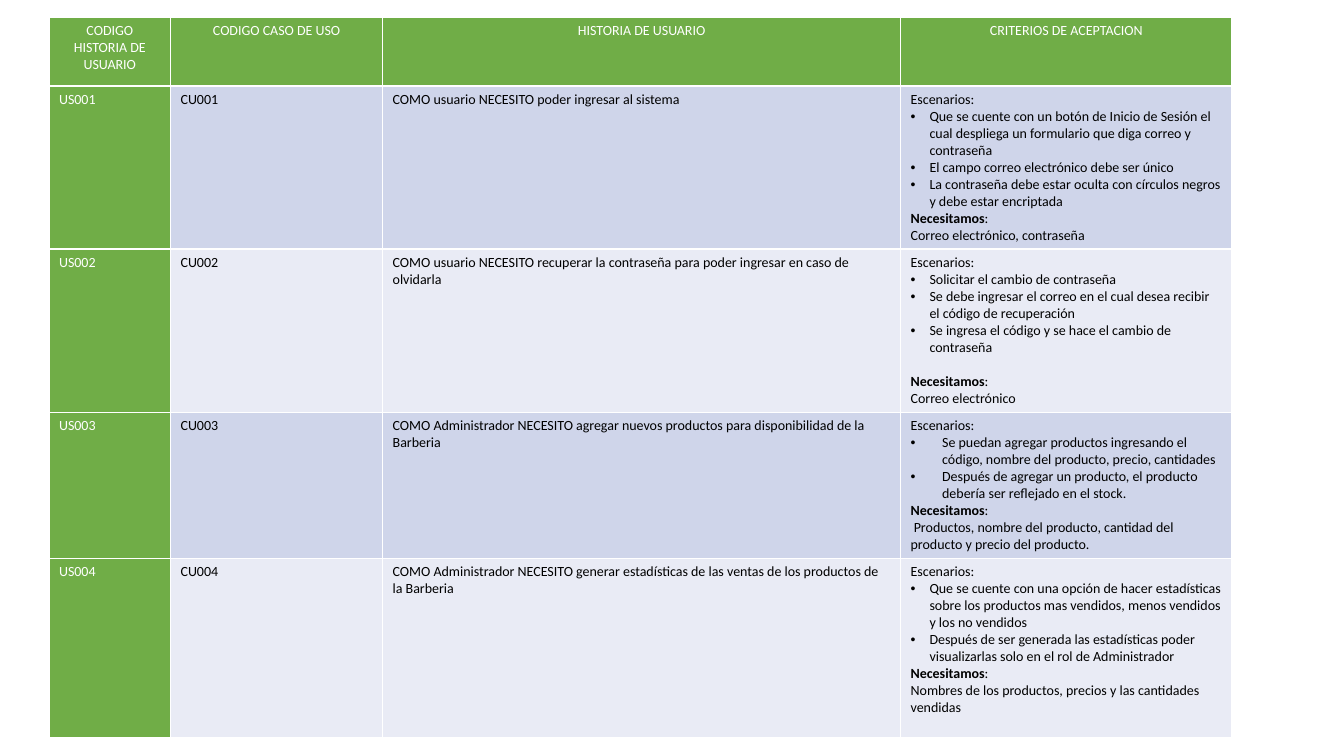
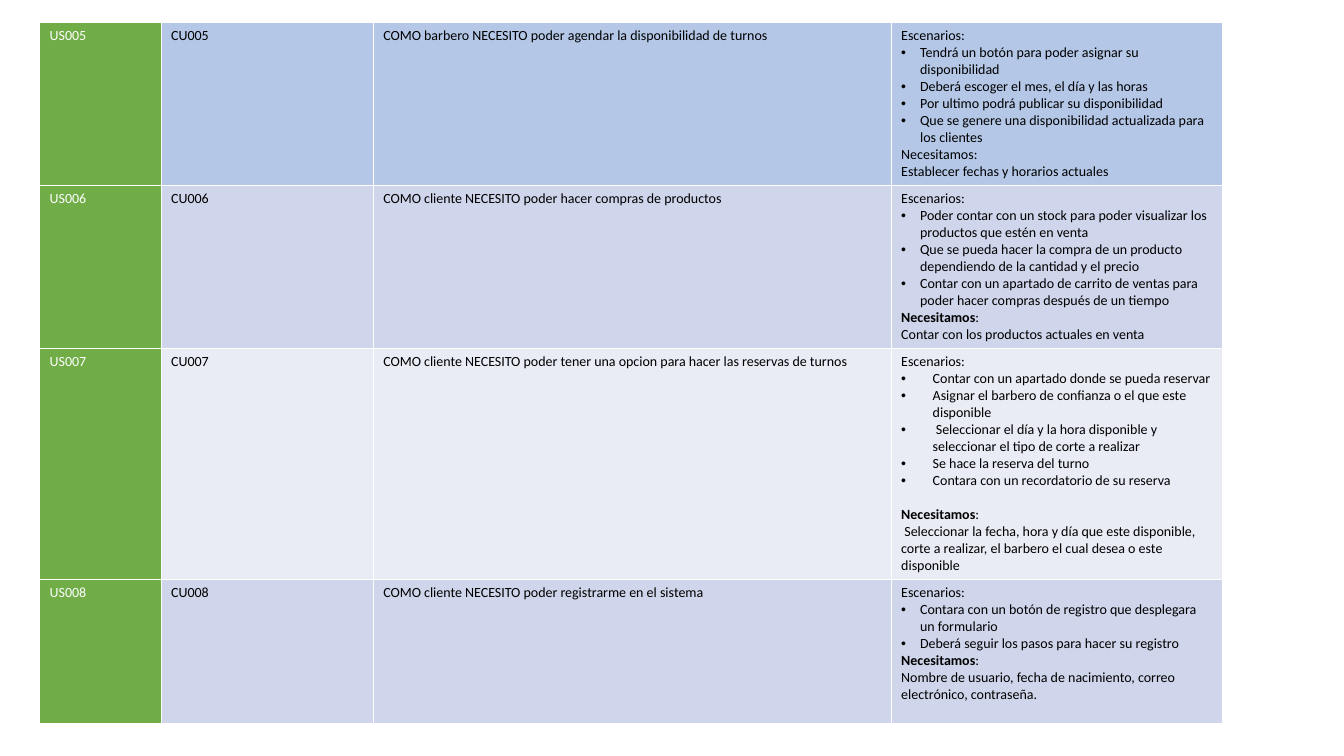
from lxml.etree import SubElement
from pptx import Presentation
from pptx.dml.color import RGBColor
from pptx.enum.text import PP_ALIGN
from pptx.oxml.ns import qn
from pptx.util import Pt

GREEN = RGBColor(0x70, 0xAD, 0x47)
BLUE = RGBColor(0xB4, 0xC7, 0xE7)
DARK = RGBColor(0xCF, 0xD5, 0xEA)
LIGHT = RGBColor(0xE9, 0xEB, 0xF5)
WHITE = RGBColor(0xFF, 0xFF, 0xFF)
BLACK = RGBColor(0x00, 0x00, 0x00)

FONT, SIZE, LINE = "Calibri", 10, 12.2
NARROW, WIDE = 13.5, 22.5  # bullet indents
COLS = [86.8, 151.5, 370, 236.8]

HEAD = ["CODIGO HISTORIA DE USUARIO", "CODIGO CASO DE USO",
        "HISTORIA DE USUARIO", "CRITERIOS DE ACEPTACION"]

# Each story: row height, fill, story, scenarios, needs, then any variations
FIRST = [
    dict(high=116.4, fill=DARK,
         story="COMO usuario NECESITO poder ingresar al sistema",
         steps=["Que se cuente con un botón de Inicio de Sesión el cual despliega "
                "un formulario que diga correo y contraseña",
                "El campo correo electrónico debe ser único",
                "La contraseña debe estar oculta con círculos negros y debe estar "
                "encriptada"],
         needs="Correo electrónico, contraseña"),
    dict(high=116.4, fill=LIGHT, gap=LINE,
         story="COMO usuario NECESITO recuperar la contraseña para poder ingresar "
               "en caso de olvidarla",
         steps=["Solicitar el cambio de contraseña",
                "Se debe ingresar el correo en el cual desea recibir el código de "
                "recuperación",
                "Se ingresa el código y se hace el cambio de contraseña"],
         needs="Correo electrónico"),
    dict(high=104.3, fill=DARK, indent=WIDE,
         story="COMO Administrador NECESITO agregar nuevos productos para "
               "disponibilidad de la Barberia",
         steps=["Se puedan agregar productos ingresando el código, nombre del "
                "producto, precio, cantidades",
                "Después de agregar un producto, el producto debería ser reflejado "
                "en el stock."],
         needs=" Productos, nombre del producto, cantidad del producto y precio "
               "del producto."),
    dict(high=128.2, fill=LIGHT,
         story="COMO Administrador NECESITO generar estadísticas de las ventas de "
               "los productos de la Barberia",
         steps=["Que se cuente con una opción de hacer estadísticas sobre los "
                "productos mas vendidos, menos vendidos y los no vendidos",
                "Después de ser generada las estadísticas poder visualizarlas solo "
                "en el rol de Administrador"],
         needs="Nombres de los productos, precios y las cantidades vendidas"),
]
SECOND = [
    dict(high=116.4, fill=BLUE, bold=False,
         story="COMO barbero NECESITO poder agendar la disponibilidad de turnos",
         steps=["Tendrá un botón para poder asignar su disponibilidad",
                "Deberá escoger el mes, el día y las horas",
                "Por ultimo podrá publicar su disponibilidad",
                "Que se genere una disponibilidad actualizada para los clientes"],
         needs="Establecer fechas y horarios actuales"),
    dict(high=116.4, fill=DARK,
         story="COMO cliente NECESITO poder hacer compras de productos",
         steps=["Poder contar con un stock para poder visualizar los productos que "
                "estén en venta",
                "Que se pueda hacer la compra de un producto dependiendo de la "
                "cantidad y el precio",
                "Contar con un apartado de carrito de ventas para poder hacer "
                "compras después de un tiempo"],
         needs="Contar con los productos actuales en venta"),
    dict(high=165, fill=LIGHT, indent=WIDE, gap=LINE,
         story="COMO cliente NECESITO poder tener una opcion para hacer las "
               "reservas de turnos",
         steps=["Contar con un apartado donde se pueda reservar",
                "Asignar el barbero de confianza o el que este disponible",
                " Seleccionar el día y la hora disponible y seleccionar el tipo de "
                "corte a realizar",
                "Se hace la reserva del turno",
                "Contara con un recordatorio de su reserva"],
         needs=" Seleccionar la fecha, hora y día que este disponible, corte a "
               "realizar, el barbero el cual desea o este disponible"),
    dict(high=103.2, fill=DARK,
         story="COMO cliente NECESITO poder registrarme en el sistema",
         steps=["Contara con un botón de registro que desplegara un formulario",
                "Deberá seguir los pasos para hacer su registro"],
         needs="Nombre de usuario, fecha de nacimiento, correo electrónico, "
               "contraseña."),
]
# Each slide: left, top, header height (0 for none), number of first story, stories
PAGES = [(35, 12.5, 49, 1, FIRST), (28.3, 16, 0, 5, SECOND)]


def add_run(para, text, color=BLACK, bold=False):
    run = para.add_run()
    run.text = text
    font = run.font
    font.name, font.size, font.bold = FONT, Pt(SIZE), bold
    font.color.rgb = color


def add_bullet(para, indent):
    props = para._p.get_or_add_pPr()
    props.set("marL", str(Pt(indent)))
    props.set("indent", str(-Pt(indent)))
    SubElement(props, qn("a:buFont")).set("typeface", "Arial")
    SubElement(props, qn("a:buChar")).set("char", "•")


def paint(cell, color):
    """White borders first, then the fill, as the schema orders them."""
    props = cell._tc.get_or_add_tcPr()
    for side in ("lnL", "lnR", "lnT", "lnB"):
        line = SubElement(props, qn("a:" + side), w=str(Pt(1)))
        solid = SubElement(line, qn("a:solidFill"))
        SubElement(solid, qn("a:srgbClr")).set("val", str(WHITE))
    cell.fill.solid()
    cell.fill.fore_color.rgb = color


def fill_terms(cell, item):
    """Acceptance criteria: scenarios as bullets, then what is needed."""
    frame = cell.text_frame
    add_run(frame.paragraphs[0], "Escenarios:")
    for step in item["steps"]:
        para = frame.add_paragraph()
        add_bullet(para, item.get("indent", NARROW))
        add_run(para, step)
    label = frame.add_paragraph()
    if "gap" in item:
        label.space_before = Pt(item["gap"])
    add_run(label, "Necesitamos", bold=item.get("bold", True))
    add_run(label, ":")
    add_run(frame.add_paragraph(), item["needs"])


def add_page(deck, left, top, head, first, items):
    slide = deck.slides.add_slide(deck.slide_layouts[6])
    highs = ([head] if head else []) + [item["high"] for item in items]
    table = slide.shapes.add_table(len(highs), len(COLS), Pt(left), Pt(top),
                                   Pt(sum(COLS)), Pt(sum(highs))).table
    table.first_row = table.horz_banding = False
    for col, wide in zip(table.columns, COLS):
        col.width = Pt(wide)
    for row, high in zip(table.rows, highs):
        row.height = Pt(high)
    rows = list(table.rows)

    # Header
    if head:
        for cell, text in zip(rows.pop(0).cells, HEAD):
            paint(cell, GREEN)
            para = cell.text_frame.paragraphs[0]
            para.alignment = PP_ALIGN.CENTER
            add_run(para, text, WHITE)

    # Stories
    for num, (row, item) in enumerate(zip(rows, items), first):
        cells = list(row.cells)
        for cell, color in zip(cells, [GREEN] + [item["fill"]] * 3):
            paint(cell, color)
        texts = [(f"US{num:03}", WHITE), (f"CU{num:03}", BLACK),
                 (item["story"], BLACK)]
        for cell, (text, color) in zip(cells, texts):
            add_run(cell.text_frame.paragraphs[0], text, color)
        fill_terms(cells[3], item)


def main():
    deck = Presentation()
    deck.slide_width, deck.slide_height = Pt(960), Pt(540)
    for page in PAGES:
        add_page(deck, *page)
    deck.save("out.pptx")


if __name__ == "__main__":
    main()
